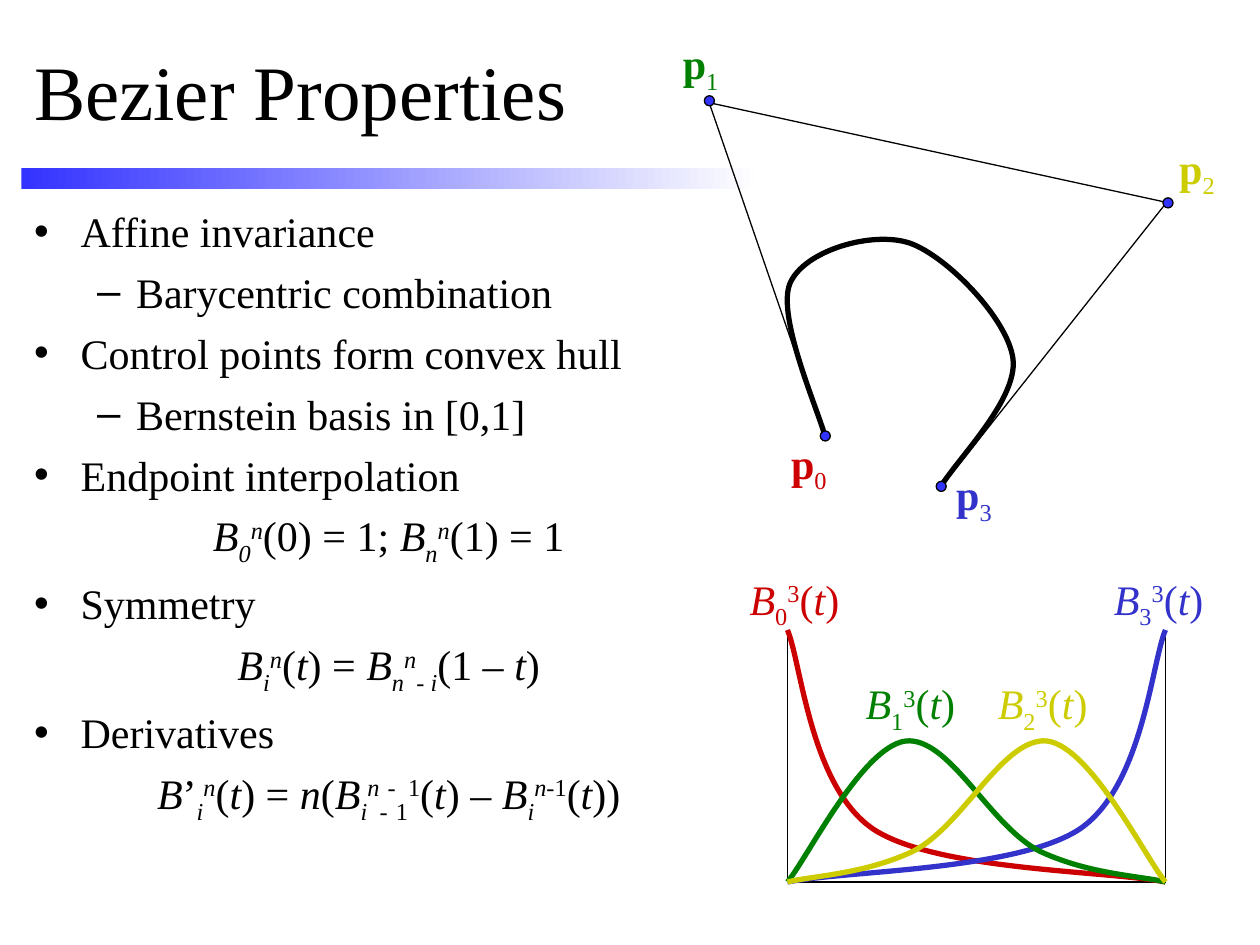
from dataclasses import dataclass

from lxml import etree
from pptx import Presentation
from pptx.dml.color import RGBColor
from pptx.enum.shapes import MSO_CONNECTOR, MSO_SHAPE
from pptx.enum.text import MSO_ANCHOR, MSO_AUTO_SIZE, PP_ALIGN
from pptx.oxml.ns import qn
from pptx.util import Inches, Pt

LEFT, CENTER = PP_ALIGN.LEFT, PP_ALIGN.CENTER
MIDDLE, TOP = MSO_ANCHOR.MIDDLE, MSO_ANCHOR.TOP
NO_FIT, GROW = MSO_AUTO_SIZE.NONE, MSO_AUTO_SIZE.SHAPE_TO_FIT_TEXT
RECT, OVAL = MSO_SHAPE.RECTANGLE, MSO_SHAPE.OVAL
STRAIGHT = MSO_CONNECTOR.STRAIGHT


@dataclass(frozen=True)
class Theme:
    font: str = "Times New Roman"
    head: int = 44
    text: int = 24
    gap: int = 6
    thin: float = 0.75
    thick: int = 3
    ink: str = "000000"
    dot: str = "3333FF"
    fade: str = "FEFEFE"
    # Colours of control points 0 to 3 and their basis functions
    hues: tuple = ("CC0000", "008000", "CCCC00", "3333CC")


THEME = Theme()

# Bullet level with text; None marks a centred formula.
# In a formula, | parts the runs, / is italic, _ is sub and ^ is super.
ITEMS = [
    (0, "Affine invariance"),
    (1, "Barycentric combination"),
    (0, "Control points form convex hull"),
    (1, "Bernstein basis in [0,1]"),
    (0, "Endpoint interpolation"),
    (None, "/B|/_0|/^n|(0) = 1; |/B|/_n|/^n|(1) = 1"),
    (0, "Symmetry"),
    (None, "/B|/_i|/^n|(|/t|) = |/B|/_n|/^n|_- |/_i|(1 – |/t|)"),
    (0, "Derivatives"),
    (None, "/B|’|/_i|/^n|(|/t|) = |/n|(|/B|/_i|/^n|/_-|^-|_1|^1|(|/t|) – "
           "|/B|/_i|/^n|^-1|(|/t|))"),
]
BULLETS = [("•", 0.37, -0.37), ("–", 0.81, -0.31)]
BASES = {"_": "-25000", "^": "30000"}


def rgb(color):
    return RGBColor.from_string(color)


def place(shape, box):
    shape.left, shape.top, shape.width, shape.height = map(Inches, box)


def style(para, size, color, align):
    para.alignment = align
    para.font.name = THEME.font
    para.font.size = Pt(size)
    para.font.color.rgb = rgb(color)


def write(para, marks):
    """Add the runs of a formula."""
    for mark in marks.split("|"):
        slant = mark.startswith("/")
        mark = mark[1:] if slant else mark
        base = BASES.get(mark[0])
        run = para.add_run()
        run.text = mark[1:] if base else mark
        if slant:
            run.font.italic = True
        if base:
            run._r.get_or_add_rPr().set("baseline", base)


def label(slide, x, y, width, marks, color, bold=False):
    box = slide.shapes.add_textbox(*map(Inches, (x, y, width, 0.56)))
    box.text_frame.word_wrap = False
    box.text_frame.auto_size = GROW
    para = box.text_frame.paragraphs[0]
    write(para, marks)
    style(para, THEME.text, color, CENTER)
    if bold:
        para.runs[0].font.bold = True


def line(slide, start, end):
    wire = slide.shapes.add_connector(
        STRAIGHT, *map(Inches, (*start, *end)))
    wire.line.color.rgb = rgb(THEME.ink)
    wire.line.width = Pt(THEME.thin)
    etree.SubElement(wire._element.spPr, qn("a:effectLst"))


def curve(slide, knots, color):
    """Draw joined cubic pieces; each shares its end with the next."""
    start, *rest = [tuple(map(Inches, knot)) for knot in knots]
    pen = slide.shapes.build_freeform(*start)
    pen.add_line_segments(rest, close=False)
    shape = pen.convert_to_shape()
    # Every three straight steps become one cubic piece
    steps = list(shape._element.iter(qn("a:lnTo")))
    track = steps[0].getparent()
    for i in range(0, len(steps), 3):
        piece = etree.SubElement(track, qn("a:cubicBezTo"))
        for step in steps[i:i + 3]:
            piece.append(step[0])
            track.remove(step)
    shape.shadow.inherit = False
    shape.fill.background()
    shape.line.color.rgb = rgb(color)
    shape.line.width = Pt(THEME.thick)


def shift(points, x, y):
    return [(x + px, y + py) for px, py in points]


def header(slide, x, y, width):
    # Fading bar, behind everything else
    bar = slide.shapes.add_shape(
        RECT, *map(Inches, (x, y + 1.16, width, 0.17)))
    bar.shadow.inherit = False
    bar.line.fill.background()
    bar.fill.gradient()
    bar.fill.gradient_angle = 0
    for stop, color in zip(bar.fill.gradient_stops, (THEME.dot, THEME.fade)):
        stop.color.rgb = rgb(color)
    slide.shapes.title._element.addprevious(bar._element)

    title = slide.shapes.title
    place(title, (x, y, width, 1.08))
    frame = title.text_frame
    frame.text = "Bezier Properties"
    frame.auto_size = NO_FIT
    frame.vertical_anchor = MIDDLE
    style(frame.paragraphs[0], THEME.head, THEME.ink, LEFT)


def bullets(slide, box):
    body = slide.placeholders[1]
    place(body, box)
    frame = body.text_frame
    frame.auto_size = NO_FIT
    frame.vertical_anchor = TOP
    for i, (level, text) in enumerate(ITEMS):
        para = frame.add_paragraph() if i else frame.paragraphs[0]
        sign, margin, indent = BULLETS[level or 0]
        para.level = level or 0
        para.space_before = Pt(THEME.gap if i else 0)
        props = para._p.get_or_add_pPr()
        props.set("marL", str(Inches(margin)))
        props.set("indent", str(Inches(indent)))
        if level is None:
            etree.SubElement(props, qn("a:buNone"))
            write(para, text)
        else:
            etree.SubElement(props, qn("a:buChar")).set("char", sign)
            para.add_run().text = text
        style(para, THEME.text, THEME.ink, CENTER if level is None else LEFT)


def hull(slide, x, y):
    """Cubic curve with its control polygon."""
    knots = [(1.3, 3.22), (1.25, 3.02), (0.91, 2.26), (1.02, 2),
             (1.13, 1.74), (1.67, 1.58), (1.97, 1.68),
             (2.26, 1.78), (2.75, 2.28), (2.79, 2.6),
             (2.83, 2.93), (2.32, 3.42), (2.2, 3.64)]
    curve(slide, shift(knots, x, y), THEME.ink)

    # Polygon sides, from the last point back to the first
    sides = [((2.2, 3.64), (4.03, 1.33)), ((3.98, 1.35), (0.4, 0.57)),
             ((1.29, 3.21), (0.37, 0.54))]
    for side in sides:
        line(slide, *shift(side, x, y))
    dots = [(2.18, 3.57), (3.98, 1.32), (0.34, 0.51), (1.26, 3.17)]
    for px, py in shift(dots, x, y):
        dot = slide.shapes.add_shape(
            OVAL, *map(Inches, (px, py, 0.08, 0.08)))
        dot.shadow.inherit = False
        dot.fill.solid()
        dot.fill.fore_color.rgb = rgb(THEME.dot)
        dot.line.color.rgb = rgb(THEME.ink)
        dot.line.width = Pt(THEME.thin)

    spots = shift([(0.93, 3.17), (0.07, 0), (4.01, 0.83), (2.24, 3.42)], x, y)
    for i in (0, 1, 3, 2):
        label(slide, *spots[i], 0.48, f"p|_{i}", THEME.hues[i], bold=True)


def basis(slide, x, y, width, height):
    """Plot of the four cubic Bernstein functions."""
    low = y + height
    for side in (x, x + width):
        line(slide, (side, low), (side, y))
    line(slide, (x, low), (x + width, low))

    # The last two functions mirror the first two
    edge = [(0, 0), (0.11, 0.26), (0.18, 1.24), (0.68, 1.58),
            (1.18, 1.91), (2.52, 1.91), (3, 2)]
    hump = [(0, 2), (0.16, 1.81), (0.62, 0.87), (0.97, 0.88),
            (1.31, 0.89), (1.62, 1.57), (2.01, 1.76),
            (2.4, 1.94), (2.79, 1.95), (3, 2)]
    for i, knots in enumerate((edge, hump)):
        flip = [(width - px, py) for px, py in knots]
        curve(slide, shift(knots, x, y), THEME.hues[i])
        curve(slide, shift(flip, x, y), THEME.hues[3 - i])

    spots = shift([(-0.4, -0.5), (0.52, 0.33), (1.57, 0.33), (2.49, -0.5)],
                  x, y)
    for i, spot in enumerate(spots):
        label(slide, *spot, 0.91, f"/B|_{i}|^3|(|/t|)", THEME.hues[i])


def main():
    deck = Presentation()
    deck.slide_width, deck.slide_height = Inches(10), Inches(7.5)
    slide = deck.slides.add_slide(deck.slide_layouts[1])
    header(slide, 0.17, 0.17, 5.83)
    bullets(slide, (0.17, 1.58, 5.83, 5.75))
    hull(slide, 5.25, 0.25)
    basis(slide, 6.25, 5, 3, 2)
    deck.save("out.pptx")


if __name__ == "__main__":
    main()
